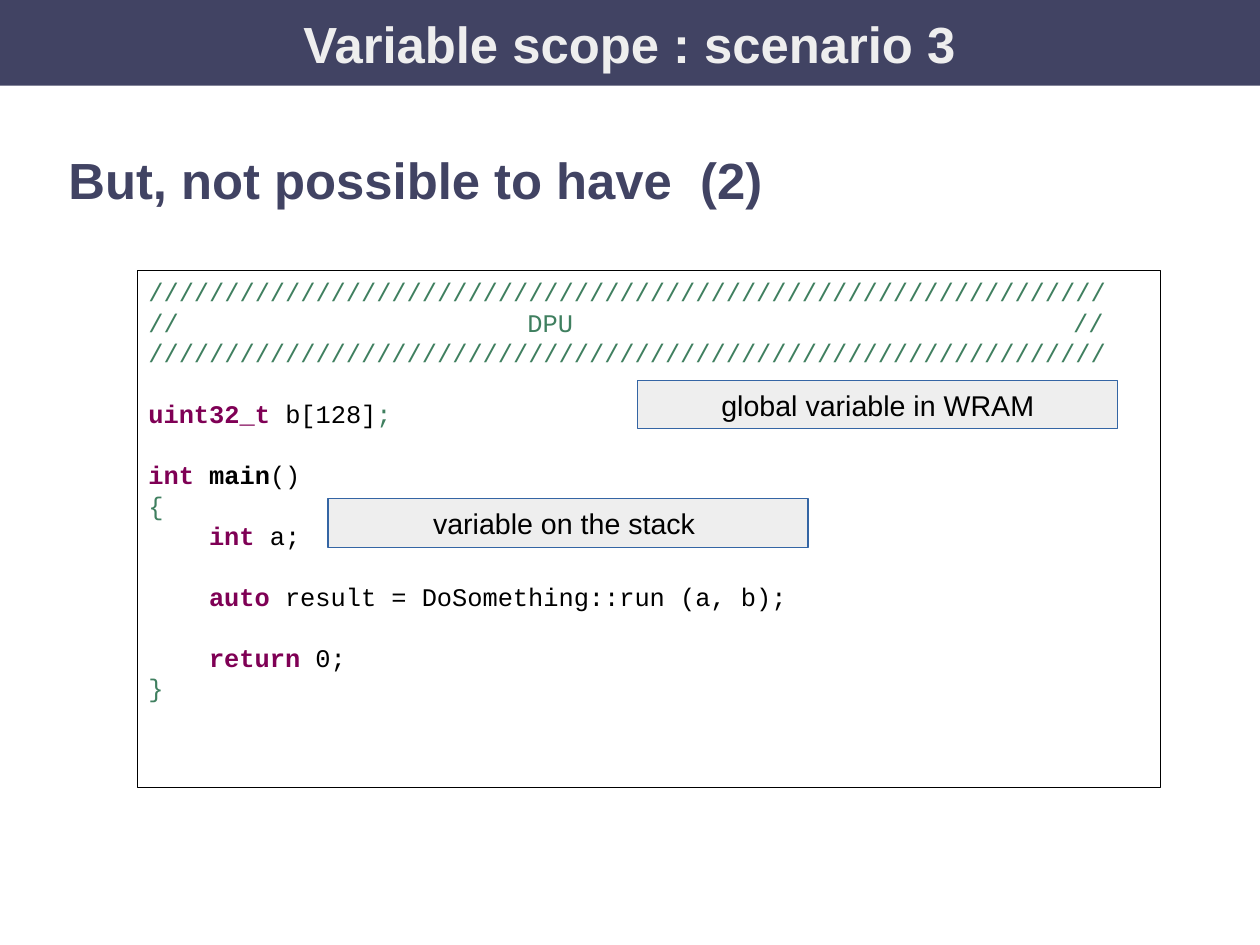
from lxml.etree import SubElement
from pptx import Presentation
from pptx.dml.color import RGBColor
from pptx.enum.shapes import MSO_SHAPE
from pptx.enum.text import MSO_ANCHOR, PP_ALIGN
from pptx.oxml.ns import qn
from pptx.util import Inches, Pt

COLORS = {
    "navy": "414363",
    "pale": "EEEEEE",
    "blue": "3465A4",
    "comment": "3F7F5F",
    "keyword": "7F0055",
    "black": "000000",
}
SLIDE_SIZE = (28 / 2.54, 21 / 2.54)
TITLE = "Variable scope : scenario 3"
HEADING = "But, not possible to have  (2)"
RULE = "/" * 63

# (indent in characters, blank lines above, [(text, color, bold), ...])
CODE = [
    (0, 0, [(RULE, "comment", False)]),
    (0, 0, [("//\tDPU\t//", "comment", False)]),
    (0, 0, [(RULE, "comment", False)]),
    (0, 1, [("uint32_t ", "keyword", True), ("b[128]", "black", False),
            (";", "comment", False)]),
    (0, 1, [("int ", "keyword", True), ("main", "black", True),
            ("()", "black", False)]),
    (0, 0, [("{", "comment", False)]),
    (4, 0, [("int", "keyword", True), (" a;", "black", False)]),
    (4, 1, [("auto", "keyword", True),
            (" result = DoSomething::run (a, b);", "black", False)]),
    (4, 1, [("return", "keyword", True), (" 0;", "black", False)]),
    (0, 0, [("}", "comment", False)]),
]
BANNER_TABS = (25, 61)  # character columns of "DPU" and the closing "//"
CALLOUTS = [
    ("variable on the stack ", (2.87, 4.36, 4.2, 0.43)),
    ("global variable in WRAM", (5.58, 3.33, 4.2, 0.42)),
]
CODE_SIZE = 16
CODE_PITCH = Pt(CODE_SIZE * 1.2)
CHAR_WIDTH = Pt(9.55)


def rgb(name):
    return RGBColor.from_string(COLORS[name])


def add_box(slide, place, fill=None, line=None):
    box = slide.shapes.add_shape(MSO_SHAPE.RECTANGLE, *map(Inches, place))
    box.shadow.inherit = False
    if fill:
        box.fill.solid()
        box.fill.fore_color.rgb = rgb(fill)
    else:
        box.fill.background()
    if line:
        box.line.color.rgb = rgb(line)
        box.line.width = Pt(0)
    else:
        box.line.fill.background()
    box.text_frame.word_wrap = True
    box.text_frame.vertical_anchor = MSO_ANCHOR.MIDDLE
    return box.text_frame


def add_run(paragraph, text, size, color, bold=False, font="Arial"):
    run = paragraph.add_run()
    run.text = text
    run.font.size = Pt(size)
    run.font.name = font
    run.font.bold = bold
    run.font.color.rgb = rgb(color)


def add_centred(frame, *run_style):
    paragraph = frame.paragraphs[0]
    paragraph.alignment = PP_ALIGN.CENTER
    add_run(paragraph, *run_style)


def add_tabs(paragraph, columns):
    tabs = SubElement(paragraph._p.get_or_add_pPr(), qn("a:tabLst"))
    for column in columns:
        SubElement(tabs, qn("a:tab"), pos=str(column * CHAR_WIDTH), algn="l")


def add_code(frame):
    frame.vertical_anchor = MSO_ANCHOR.TOP
    for number, (indent, blanks, pieces) in enumerate(CODE):
        line = frame.add_paragraph() if number else frame.paragraphs[0]
        line.alignment = PP_ALIGN.LEFT
        line.line_spacing = CODE_PITCH
        line.space_before = blanks * CODE_PITCH
        line._p.get_or_add_pPr().set("marL", str(indent * CHAR_WIDTH))
        if "\t" in pieces[0][0]:
            add_tabs(line, BANNER_TABS)
        for text, color, bold in pieces:
            add_run(line, text, CODE_SIZE, color, bold, "Courier New")


def main():
    deck = Presentation()
    deck.slide_width, deck.slide_height = map(Inches, SLIDE_SIZE)
    slide = deck.slides.add_slide(deck.slide_layouts[6])

    title = add_box(slide, (0, 0, SLIDE_SIZE[0], 0.75), fill="navy")
    add_centred(title, TITLE, 32, "pale", True)

    heading = slide.shapes.add_textbox(*map(Inches, (0.5, 1.25, 10.25, 0.6)))
    heading.text_frame.word_wrap = True
    add_run(heading.text_frame.paragraphs[0], HEADING, 32, "navy", True)

    add_code(add_box(slide, (1.2, 2.37, 8.95, 4.52), line="black"))
    for label, place in CALLOUTS:
        callout = add_box(slide, place, fill="pale", line="blue")
        add_centred(callout, label, 18, "black")

    deck.save("out.pptx")


if __name__ == "__main__":
    main()
